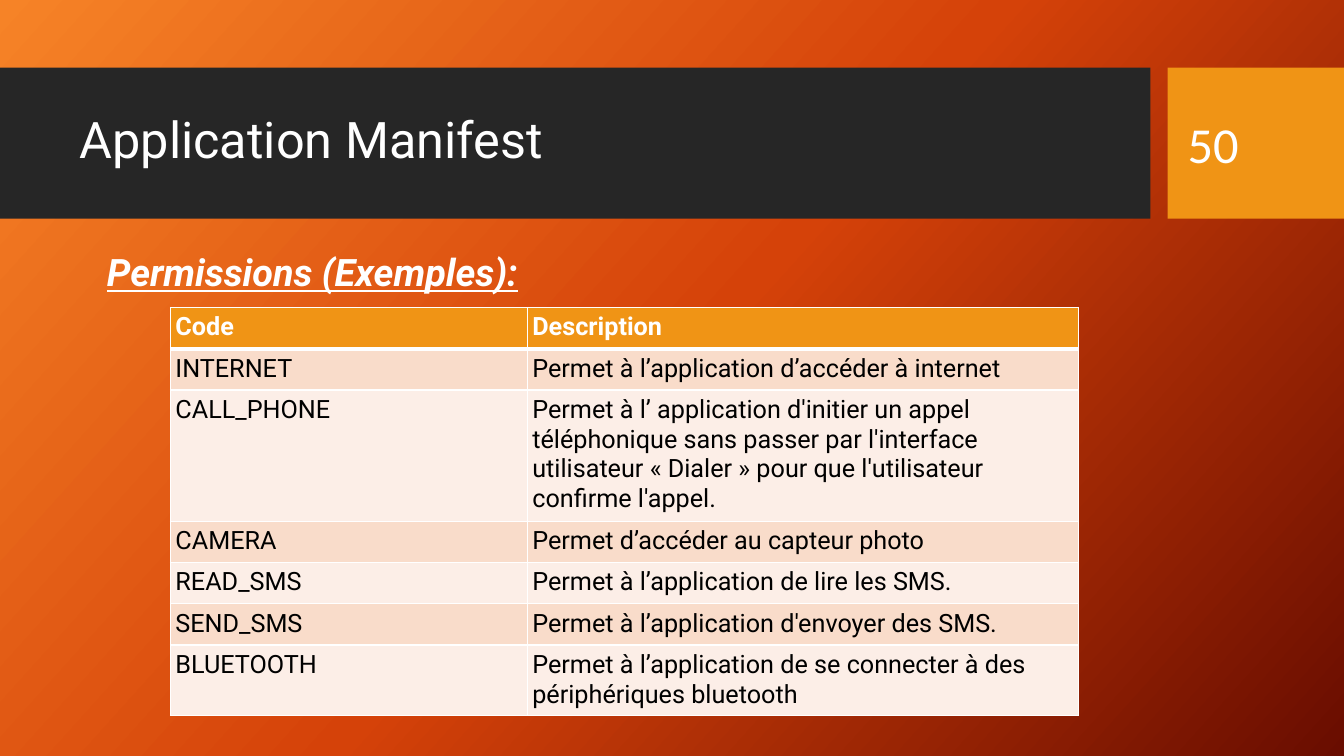
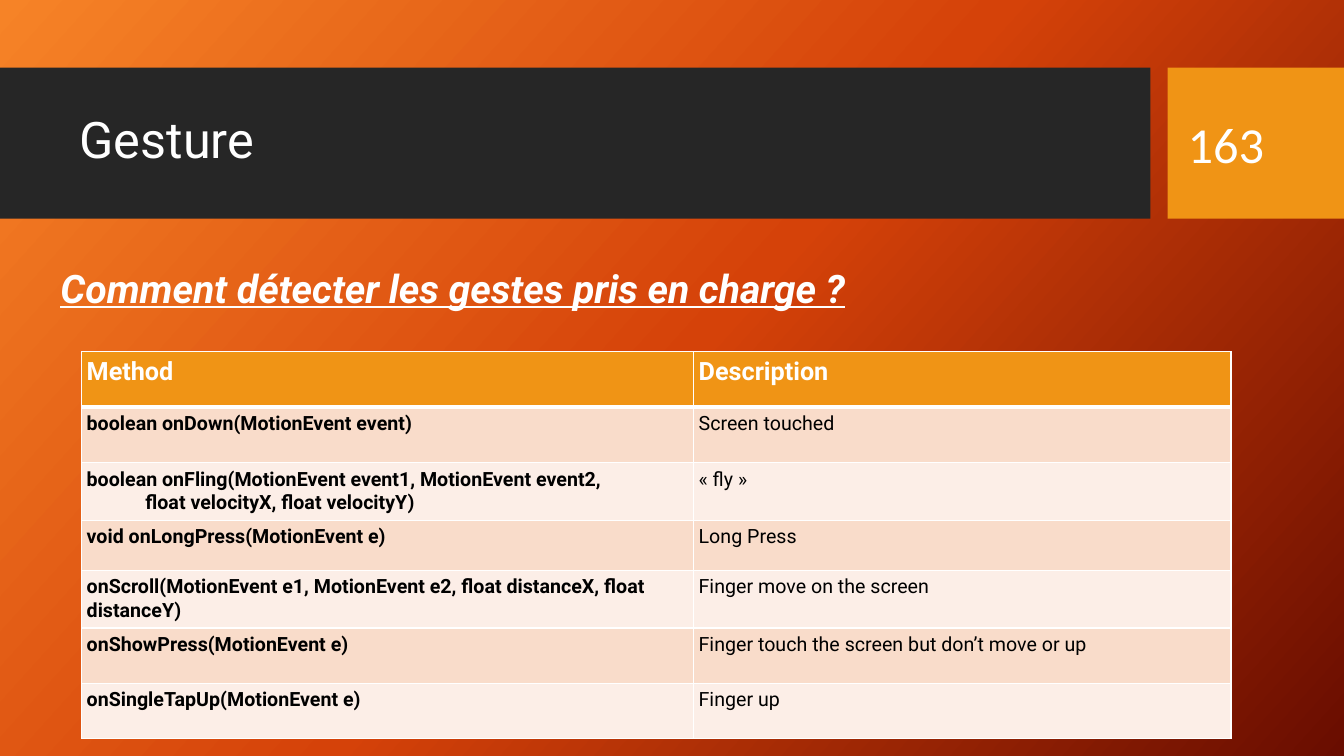
import copy

import pptx
import pptx.dml.color
import pptx.enum.shapes
import pptx.enum.text
import pptx.oxml
import pptx.oxml.ns
import pptx.util

Inches = pptx.util.Inches
Pt = pptx.util.Pt
RGBColor = pptx.dml.color.RGBColor
Anchor = pptx.enum.text.MSO_ANCHOR

WHITE = RGBColor(0xFF, 0xFF, 0xFF)
BLACK = RGBColor(0x00, 0x00, 0x00)
CHARCOAL = RGBColor(0x26, 0x26, 0x26)
AMBER = RGBColor(0xF0, 0x94, 0x15)
PEACH = RGBColor(0xF9, 0xDC, 0xCA)
PALE_PEACH = RGBColor(0xFC, 0xEE, 0xE7)
GRADIENT = [(0, RGBColor(0xF6, 0x83, 0x27)),
            (0.5, RGBColor(0xD5, 0x42, 0x09)),
            (1, RGBColor(0x69, 0x0D, 0x00))]
BODY_FONT = "Roboto"
NUMBER_FONT = "Calibri"
BAND_TOP, BAND_HEIGHT = 0.67, 1.5

PAGES = [
    {
        "title": "Application Manifest",
        "number": "50",
        "number_width": 0.64,
        "heading": "Permissions (Exemples):",
        "heading_box": (1.01, 2.2, 4.89, 0.76),
        "heading_size": 27,
        "heading_anchor": Anchor.BOTTOM,
        "heading_spacing": 0.72,
        "table_at": (1.69, 3.05),
        "columns": [3.54, 5.47],
        "row_heights": [0.41, 0.41, 1.28, 0.41, 0.41, 0.41, 0.7],
        "cell_size": 18,
        "bold_code": False,
        "rows": [
            ("Code", "Description"),
            ("INTERNET", "Permet à l’application d’accéder à internet"),
            ("CALL_PHONE",
             "Permet à l’ application d'initier un appel téléphonique sans "
             "passer par l'interface utilisateur « Dialer » pour que "
             "l'utilisateur confirme l'appel."),
            ("CAMERA", "Permet d’accéder au capteur photo"),
            ("READ_SMS", "Permet à l’application de lire les SMS."),
            ("SEND_SMS", "Permet à l’application d'envoyer des SMS."),
            ("BLUETOOTH",
             "Permet à l’application de se connecter à des périphériques "
             "bluetooth"),
        ],
    },
    {
        "title": "Gesture",
        "number": "163",
        "number_width": 0.9,
        "heading": "Comment détecter les gestes pris en charge ?",
        "heading_box": (0.55, 2.57, 12.38, 0.58),
        "heading_size": 28,
        "heading_anchor": Anchor.TOP,
        "heading_spacing": 1.0,
        "table_at": (0.81, 3.49),
        "columns": [6.07, 5.33],
        "row_heights": [0.55, 0.55, 0.57, 0.5, 0.57, 0.55, 0.55],
        "cell_size": 14,
        "bold_code": True,
        "rows": [
            ("Method", "Description"),
            ("boolean onDown(MotionEvent event)", "Screen touched"),
            ("boolean onFling(MotionEvent event1, MotionEvent event2,\n"
             "            float velocityX, float velocityY)", "« fly »"),
            ("void onLongPress(MotionEvent e)", "Long Press"),
            ("onScroll(MotionEvent e1, MotionEvent e2, float distanceX, "
             "float distanceY)", "Finger move on the screen"),
            ("onShowPress(MotionEvent e)",
             "Finger touch the screen but don’t move or up"),
            ("onSingleTapUp(MotionEvent e)", "Finger up"),
        ],
    },
]


def write_text(frame, text, size, anchor, font=BODY_FONT, color=WHITE,
               bold=False, spacing=None):
    """Fill a text frame or table cell frame with uniformly styled text."""
    frame.text = text
    frame.vertical_anchor = anchor
    frame.margin_left = frame.margin_right = Inches(0.05)
    frame.margin_top = frame.margin_bottom = Inches(0.05)
    for paragraph in frame.paragraphs:
        paragraph.alignment = pptx.enum.text.PP_ALIGN.LEFT
        paragraph.line_spacing = spacing
        paragraph.font.name = font
        paragraph.font.size = Pt(size)
        paragraph.font.bold = bold
        paragraph.font.color.rgb = color


def set_borders(cell, top, bottom):
    """Give a cell white borders; top and bottom are widths in points."""
    widths = {"lnL": 1, "lnR": 1, "lnT": top, "lnB": bottom}
    properties = cell._tc.get_or_add_tcPr()
    for position, (side, width) in enumerate(widths.items()):
        properties.insert(position, pptx.oxml.parse_xml(
            f'<a:{side} {pptx.oxml.ns.nsdecls("a")} w="{Pt(width)}">'
            f'<a:solidFill><a:srgbClr val="{WHITE}"/></a:solidFill>'
            f'</a:{side}>'))


presentation = pptx.Presentation()
presentation.slide_width = Inches(13.33)
presentation.slide_height = Inches(7.5)
master = presentation.slide_master
title_only = presentation.slide_layouts[5]

# Shared background gradient
background = master.background.fill
background.gradient()
background.gradient_angle = 360 - 42
stop_list = master.element.find(".//" + pptx.oxml.ns.qn("a:gsLst"))
stop_list.append(copy.deepcopy(stop_list[-1]))
for stop, (position, color) in zip(background.gradient_stops, GRADIENT):
    stop.position = position
    stop.color.rgb = color

slides = [presentation.slides.add_slide(title_only) for page in PAGES]

# Shared bands, moved to the layout behind its placeholders
for left, width, color in [(0, 11.41, CHARCOAL), (11.58, 1.75, AMBER)]:
    band = slides[0].shapes.add_shape(
        pptx.enum.shapes.MSO_SHAPE.RECTANGLE, Inches(left), Inches(BAND_TOP),
        Inches(width), Inches(BAND_HEIGHT))
    band.shadow.inherit = False
    band.fill.solid()
    band.fill.fore_color.rgb = color
    band.line.fill.background()
    title_only.shapes._spTree.insert(2, band._element)

for slide, page in zip(slides, PAGES):
    # Title
    title = slide.shapes.title
    title.left, title.top = Inches(0.74), Inches(0.82)
    title.width, title.height = Inches(10.51), Inches(1.18)
    write_text(title.text_frame, page["title"], 36, Anchor.MIDDLE, spacing=0.9)
    title.text_frame.auto_size = pptx.enum.text.MSO_AUTO_SIZE.NONE

    # Page number
    number = slide.shapes.add_textbox(
        Inches(11.73), Inches(1.08), Inches(page["number_width"]), Inches(0.68))
    write_text(number.text_frame, page["number"], 36, Anchor.MIDDLE,
               font=NUMBER_FONT)
    number.text_frame.word_wrap = False

    # Heading
    heading = slide.shapes.add_textbox(*map(Inches, page["heading_box"]))
    heading.text_frame.word_wrap = True
    write_text(heading.text_frame, page["heading"], page["heading_size"],
               page["heading_anchor"], bold=True,
               spacing=page["heading_spacing"])
    heading_font = heading.text_frame.paragraphs[0].font
    heading_font.italic = True
    heading_font.underline = True

    # Table
    table = slide.shapes.add_table(
        len(page["rows"]), len(page["columns"]),
        *map(Inches, page["table_at"]),
        Inches(sum(page["columns"])), Inches(sum(page["row_heights"]))).table
    for column, width in zip(table.columns, page["columns"]):
        column.width = Inches(width)
    for row_index, texts in enumerate(page["rows"]):
        table.rows[row_index].height = Inches(page["row_heights"][row_index])
        is_header = row_index == 0
        if is_header:
            row_fill = AMBER
        else:
            row_fill = PEACH if row_index % 2 else PALE_PEACH
        for column_index, text in enumerate(texts):
            cell = table.cell(row_index, column_index)
            is_code = column_index == 0 and page["bold_code"]
            write_text(cell.text_frame, text,
                       18 if is_header else page["cell_size"], Anchor.TOP,
                       color=WHITE if is_header else BLACK,
                       bold=is_header or is_code)
            cell.margin_left = cell.margin_right = Inches(0.05)
            cell.margin_top = cell.margin_bottom = Inches(0.05)
            cell.fill.solid()
            cell.fill.fore_color.rgb = row_fill
            set_borders(cell, top=3 if row_index == 1 else 1,
                        bottom=3 if is_header else 1)

presentation.save("out.pptx")
